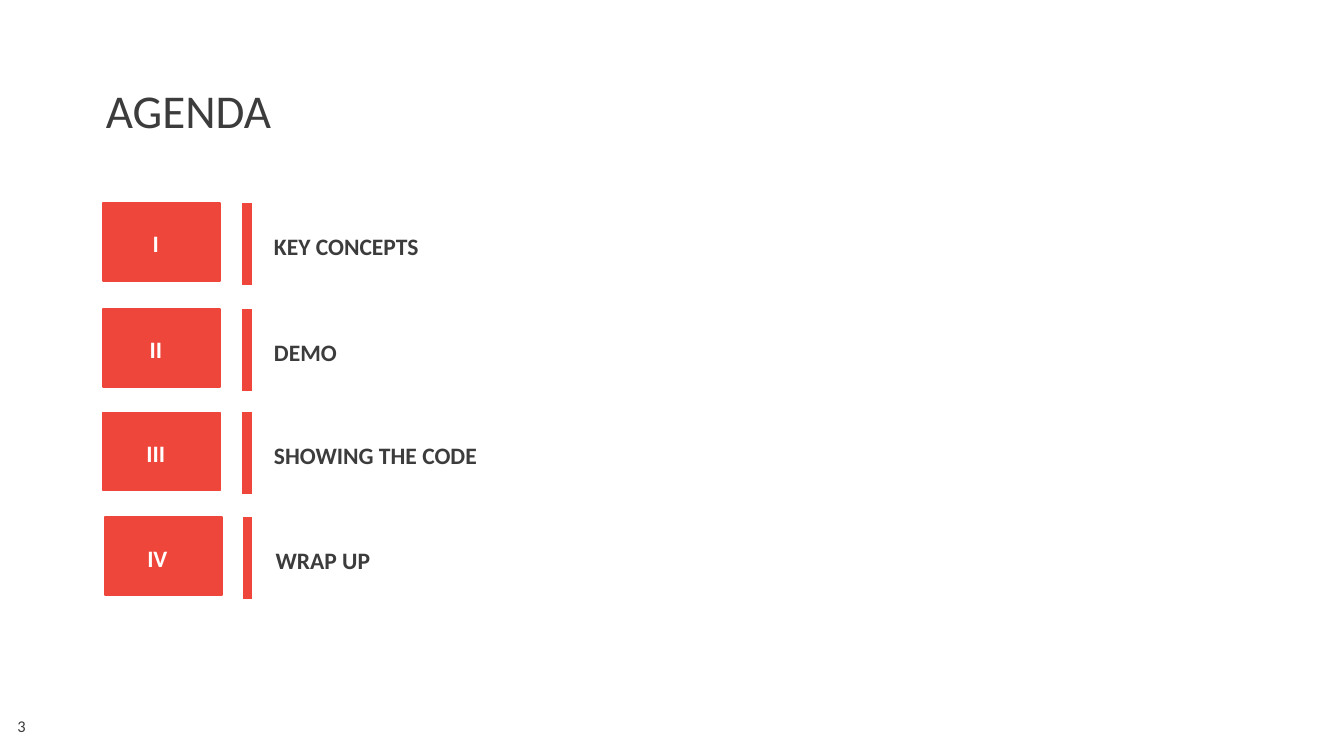
"""Build an agenda slide with four numbered rows."""
from lxml.etree import SubElement
from pptx import Presentation
from pptx.dml.color import RGBColor
from pptx.enum.shapes import MSO_CONNECTOR, MSO_SHAPE
from pptx.enum.text import MSO_ANCHOR, PP_ALIGN
from pptx.oxml.ns import qn
from pptx.util import Pt

COLORS = {"red": "EF463C", "white": "FFFFFF", "text": "3C3C3C"}
ROWS = [
    ("I", "KEY CONCEPTS", 55.4, 108.7),
    ("II", "DEMO", 55.4, 165.6),
    ("III", "SHOWING THE CODE", 55.4, 221),
    ("IV", "WRAP UP", 56.2, 277.2),
]


def add_text(shapes, text, left, top, width, height, size, color="text", bold=False,
             align=PP_ALIGN.LEFT, anchor=MSO_ANCHOR.MIDDLE, spacing=1.0, before=0):
    box = shapes.add_textbox(Pt(left), Pt(top), Pt(width), Pt(height))
    frame = box.text_frame
    frame.word_wrap = True
    frame.vertical_anchor = anchor
    paragraph = frame.paragraphs[0]
    paragraph.alignment = align
    paragraph.line_spacing = spacing
    paragraph.space_before = Pt(before)
    run = paragraph.add_run()
    run.text = text
    run.font.name = "Calibri"
    run.font.size = Pt(size)
    run.font.bold = bold
    run.font.color.rgb = RGBColor.from_string(COLORS[color])


def add_rectangle(shapes, left, top, width, height, color):
    shape = shapes.add_shape(MSO_SHAPE.RECTANGLE, Pt(left), Pt(top), Pt(width), Pt(height))
    shape.shadow.inherit = False
    shape.fill.solid()
    shape.fill.fore_color.rgb = RGBColor.from_string(COLORS[color])
    shape.line.color.rgb = RGBColor.from_string(COLORS[color])
    shape.line.width = Pt(1)


presentation = Presentation()
presentation.slide_width = Pt(720)
presentation.slide_height = Pt(405)
slide = presentation.slides.add_slide(presentation.slide_layouts[6])

add_text(slide.shapes, "AGENDA", 49.7, 21.6, 554.4, 78.5, 25.2, spacing=0.9)

for numeral, topic, left, top in ROWS:
    row = slide.shapes.add_group_shape().shapes
    add_rectangle(row, left, top, 62.6, 41.8, "red")

    bar_left = left + 77.1
    bar = row.add_connector(MSO_CONNECTOR.STRAIGHT, Pt(bar_left), Pt(top), Pt(bar_left), Pt(top + 43.9))
    bar.line.color.rgb = RGBColor.from_string(COLORS["red"])
    bar.line.width = Pt(6)
    SubElement(bar._element.spPr, qn("a:effectLst"))

    add_rectangle(row, 135.4, top, 529.9, 43.9, "white")
    add_text(row, topic, left + 84.3, top + 3.6, 519.8, 37.4, 12.6, bold=True, spacing=1.1, before=10)
    add_text(row, numeral, left - 0.7, top + 9, 57.6, 24.5, 12.6, "white", True,
             PP_ALIGN.CENTER, MSO_ANCHOR.TOP, 1.1, 10)

add_text(slide.shapes, "3", 2.2, 378, 162, 21.6, 8.8)

presentation.save("out.pptx")
